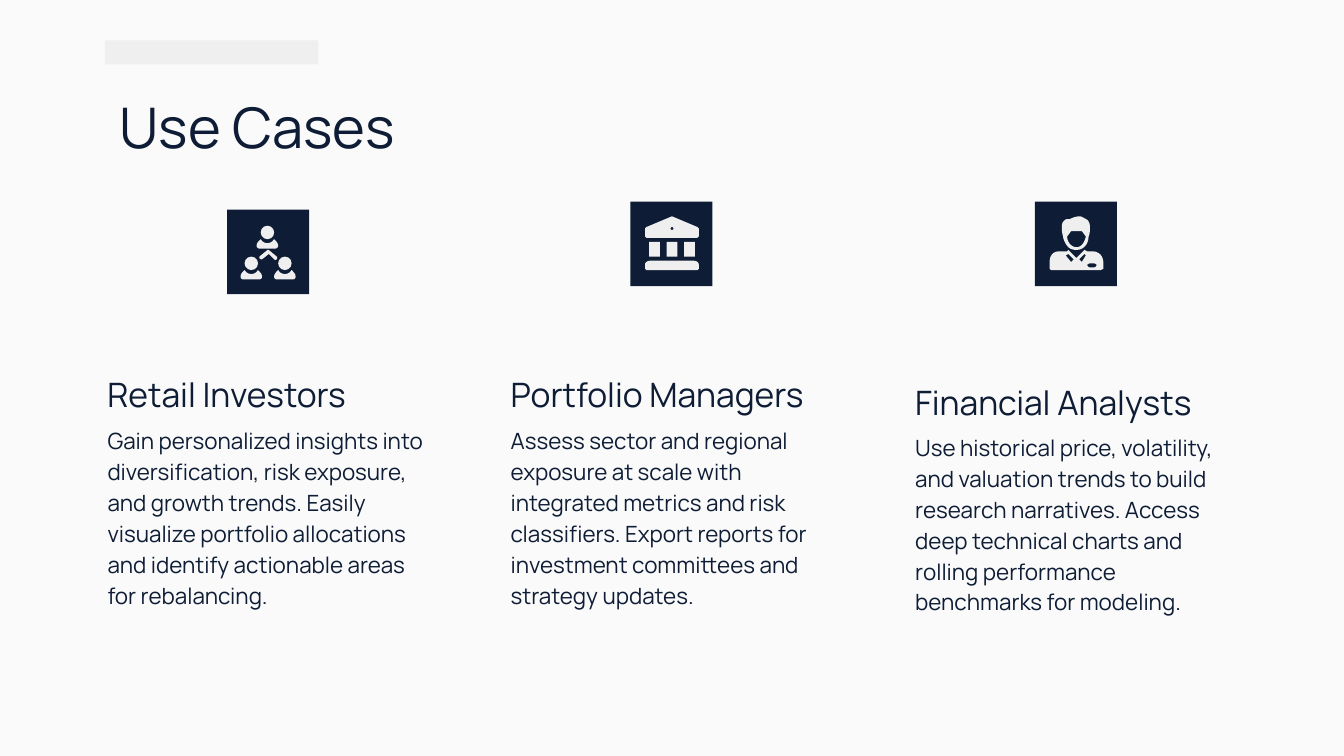
from pptx import Presentation
from pptx.dml.color import RGBColor
from pptx.enum.shapes import MSO_SHAPE
from pptx.enum.text import MSO_ANCHOR, MSO_AUTO_SIZE, PP_ALIGN
from pptx.oxml.ns import qn
from pptx.util import Inches, Pt

RECTANGLE, OVAL = MSO_SHAPE.RECTANGLE, MSO_SHAPE.OVAL
TOP, BOTTOM = MSO_ANCHOR.TOP, MSO_ANCHOR.BOTTOM
LEFT = PP_ALIGN.LEFT
NO_AUTOFIT = MSO_AUTO_SIZE.NONE
COLORS = {"page": "FAFAFA", "navy": "0E1D35", "light": "EFEFEF"}
FONT = "Manrope"
COMPARISON_LAYOUT = 4
CURVE_STEPS = 6

# Column: heading, description, left, icon top, heading top, description top
COLUMNS = [
    ("Retail Investors",
     "Gain personalized insights into diversification, risk exposure, and growth trends. "
     "Easily visualize portfolio allocations and identify actionable areas for rebalancing.",
     0.7, 1.56, 2.41, 3.05),
    ("Portfolio Managers",
     "Assess sector and regional exposure at scale with integrated metrics and risk "
     "classifiers. Export reports for investment committees and strategy updates.",
     3.7, 1.5, 2.41, 3.05),
    ("Financial Analysts",
     "Use historical price, volatility, and valuation trends to build research narratives. "
     "Access deep technical charts and rolling performance benchmarks for modeling.",
     6.71, 1.5, 2.47, 3.1),
]

# Outlines: a pair is a straight step, six numbers are a Bezier curve
NETWORK_LINK = [(1.99, 1.86), (1.93, 1.91), (1.93, 1.92, 1.93, 1.93, 1.95, 1.93),
                (2, 1.89), (2.04, 1.93), (2.05, 1.94, 2.07, 1.93, 2.06, 1.91), (2, 1.86)]
ROOF = [(5, 1.61), (4.81, 1.69), (4.8, 1.7), (4.8, 1.76), (4.81, 1.77),
        (5.19, 1.77), (5.2, 1.76), (5.2, 1.7), (5.19, 1.69)]
BASE = [(4.84, 1.94), (4.82, 1.94, 4.8, 1.95, 4.8, 1.97), (4.8, 2), (4.81, 2.01),
        (5.19, 2.01), (5.2, 2), (5.2, 1.97), (5.2, 1.95, 5.18, 1.94, 5.16, 1.94)]
HAIR = [(8.03, 1.61), (8.01, 1.61, 7.98, 1.62, 7.96, 1.63),
        (7.94, 1.63, 7.93, 1.63, 7.92, 1.64), (7.91, 1.65, 7.9, 1.66, 7.9, 1.69),
        (7.9, 1.7, 7.9, 1.73, 7.91, 1.76), (7.91, 1.77, 7.92, 1.81, 7.95, 1.84),
        (7.96, 1.85, 7.98, 1.86, 8.01, 1.86), (8.06, 1.86, 8.1, 1.82, 8.1, 1.76),
        (8.11, 1.74, 8.11, 1.71, 8.11, 1.69), (8.11, 1.66, 8.1, 1.64, 8.08, 1.63),
        (8.06, 1.62, 8.05, 1.61, 8.03, 1.61)]
FACE = [(8.04, 1.72), (8.05, 1.72), (8.08, 1.76), (8.07, 1.8, 8.05, 1.84, 8.01, 1.84),
        (7.97, 1.84, 7.94, 1.8, 7.94, 1.76), (7.97, 1.72)]
SUIT = [(7.95, 1.86), (7.94, 1.87), (7.92, 1.87), (7.88, 1.87),
        (7.83, 1.87, 7.81, 1.91, 7.81, 1.95), (7.81, 2), (7.82, 2.01), (8.19, 2.01),
        (8.21, 2), (8.21, 1.95), (8.21, 1.91, 8.18, 1.87, 8.13, 1.87), (8.09, 1.87),
        (8.07, 1.86), (8.06, 1.87), (8.01, 1.92), (7.96, 1.87)]
LAPELS = [[(7.95, 1.89), (7.99, 1.93), (7.97, 1.95), (7.93, 1.9)],
          [(8.07, 1.89), (8.08, 1.9), (8.05, 1.95), (8.03, 1.93)]]
POCKET = [(8.14, 1.96), (8.15, 1.96, 8.16, 1.97, 8.16, 1.97),
          (8.16, 1.98, 8.15, 1.99, 8.14, 1.99), (8.11, 1.99),
          (8.1, 1.99, 8.09, 1.98, 8.09, 1.97), (8.09, 1.97, 8.1, 1.96, 8.11, 1.96)]


def flatten(outline):
    """Turn an outline into a list of points, sampling its curves."""
    points = [outline[0]]
    for step in outline[1:]:
        if len(step) == 2:
            points.append(step)
            continue
        controls = (points[-1], step[:2], step[2:4], step[4:])
        for index in range(1, CURVE_STEPS + 1):
            t = index / CURVE_STEPS
            weights = ((1 - t) ** 3, 3 * t * (1 - t) ** 2, 3 * t * t * (1 - t), t ** 3)
            points.append(tuple(sum(w * c[axis] for w, c in zip(weights, controls))
                                for axis in (0, 1)))
    return [(Inches(x), Inches(y)) for x, y in points]


class SlideBuilder:
    def __init__(self, slide):
        self.slide = slide
        slide.background.fill.solid()
        slide.background.fill.fore_color.rgb = RGBColor.from_string(COLORS["page"])

    def paint(self, shape, color):
        shape.shadow.inherit = False
        shape.fill.solid()
        shape.fill.fore_color.rgb = RGBColor.from_string(COLORS[color])
        shape.line.fill.background()

    def shape(self, kind, left, top, width, height, color="light"):
        self.paint(self.slide.shapes.add_shape(
            kind, Inches(left), Inches(top), Inches(width), Inches(height)), color)

    def outline(self, *contours):
        first, *others = [flatten(contour) for contour in contours]
        builder = self.slide.shapes.build_freeform(*first[0], scale=1.0)
        builder.add_line_segments(first[1:])
        for points in others:
            builder.move_to(*points[0])
            builder.add_line_segments(points[1:])
        self.paint(builder.convert_to_shape(), "light")

    def text(self, box, words, left, top, width, height, size, anchor=TOP):
        box.left, box.top = Inches(left), Inches(top)
        box.width, box.height = Inches(width), Inches(height)
        frame = box.text_frame
        frame.text = words
        frame.word_wrap = True
        frame.auto_size = NO_AUTOFIT
        frame.vertical_anchor = anchor
        frame.margin_left = frame.margin_right = Inches(0.1)
        frame.margin_top = frame.margin_bottom = Inches(0.1)
        para = frame.paragraphs[0]
        para.alignment = LEFT
        font = para.runs[0].font
        font.name, font.size, font.bold = FONT, Pt(size), False
        font.color.rgb = RGBColor.from_string(COLORS["navy"])
        return para

    def title(self, words):
        self.text(self.slide.shapes.title, words, 0.79, 0.59, 8.43, 0.63, 30)

    def heading(self, words, left, top):
        box = self.slide.shapes.add_textbox(0, 0, 0, 0)
        self.text(box, words, left, top, 2.59, 0.77, 18, BOTTOM)

    def description(self, number, words, left, top):
        box = self.slide.placeholders[number]
        para = self.text(box, words, left, top, 2.59, 1.99, 12)
        para.line_spacing = 1.15
        para.space_before = Pt(12)
        properties = para._p.get_or_add_pPr()
        properties.set("marL", "0")
        properties.set("indent", "0")
        properties.append(properties.makeelement(qn("a:buNone"), {}))

    def person(self, center, top):
        self.shape(OVAL, center - 0.05, top, 0.1, 0.1)
        low, base = top + 0.1, top + 0.17
        self.outline([
            (center - 0.05, low),
            (center - 0.07, low + 0.02, center - 0.08, low + 0.03, center - 0.08, low + 0.05),
            (center - 0.08, base - 0.01, center - 0.07, base, center - 0.06, base),
            (center + 0.06, base),
            (center + 0.07, base, center + 0.08, base - 0.01, center + 0.08, low + 0.05),
            (center + 0.08, low + 0.03, center + 0.07, low + 0.02, center + 0.05, low),
            (center + 0.03, low + 0.04, center - 0.03, low + 0.04, center - 0.05, low)])


# Widescreen page, 16:9
deck = Presentation()
deck.slide_width = Inches(10)
deck.slide_height = deck.slide_width * 9 // 16
page = SlideBuilder(deck.slides.add_slide(deck.slide_layouts[COMPARISON_LAYOUT]))

# Title and accent bar
page.shape(RECTANGLE, 0.78, 0.3, 1.59, 0.18)
page.title("Use Cases")

# Columns with icon tiles
for number, column in enumerate(COLUMNS, start=1):
    heading, description, left, icon_top, heading_top, description_top = column
    page.heading(heading, left, heading_top)
    page.description(number, description, left, description_top)
    page.shape(RECTANGLE, left + 0.99, icon_top, 0.61, 0.63, "navy")
spare = page.slide.placeholders[4].element
spare.getparent().remove(spare)

# Investor network icon
for center, top in [(1.99, 1.68), (1.87, 1.91), (2.12, 1.91)]:
    page.person(center, top)
page.outline(NETWORK_LINK)

# Bank icon
page.outline(ROOF)
page.shape(OVAL, 4.99, 1.69, 0.02, 0.02, "navy")
for index in range(3):
    page.shape(RECTANGLE, 4.83 + 0.13 * index, 1.8, 0.08, 0.11)
page.outline(BASE)

# Analyst icon
page.outline(HAIR, FACE)
page.outline(SUIT, *LAPELS, POCKET)

deck.save("out.pptx")
